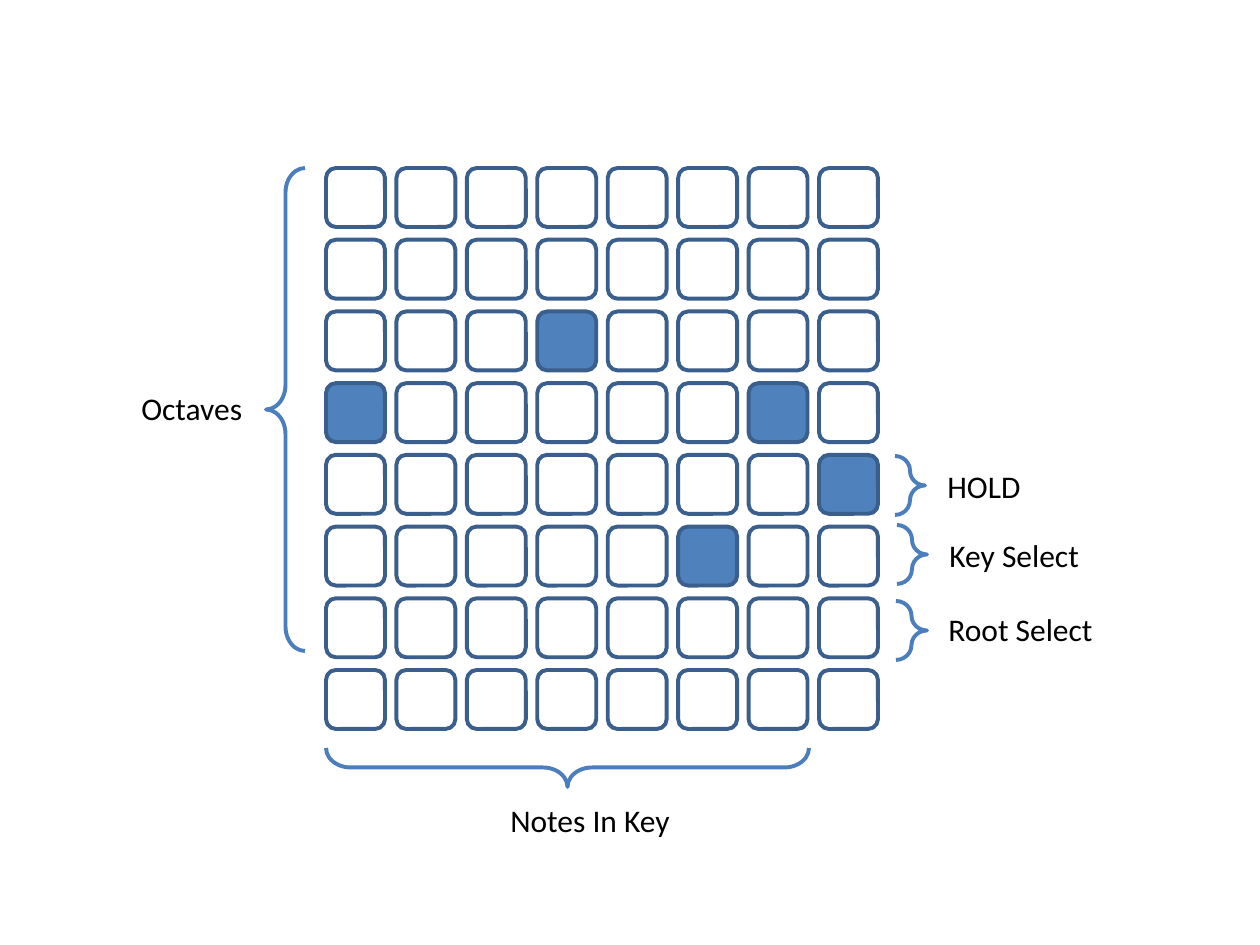
from dataclasses import dataclass
from itertools import product

from pptx import Presentation
from pptx.dml.color import RGBColor as Rgb
from pptx.enum.shapes import MSO_SHAPE as Shape
from pptx.enum.text import MSO_AUTO_SIZE as AutoSize
from pptx.util import Emu, Pt

PX = 914400 / 126


@dataclass(frozen=True)
class Theme:
    lit: Rgb = Rgb.from_string("4F81BD")
    unlit: Rgb = Rgb.from_string("FFFFFF")
    pad_edge: Rgb = Rgb.from_string("3A5F8C")
    brace: Rgb = Rgb.from_string("4B7EBC")
    ink: Rgb = Rgb.from_string("000000")
    font: str = "Calibri"
    label_size: Pt = Pt(18)
    stroke: Pt = Pt(2.25)


THEME = Theme()
PADS_PER_SIDE = 8
PAD_SIZE = 59
LIT_PADS = {(2, 3), (3, 0), (3, 6), (4, 7), (5, 5)}


def emu(*lengths):
    return [Emu(round(length * PX)) for length in lengths]


def apply_format(target, values):
    for name, value in values.items():
        setattr(target, name, value)


def outline(shape, color):
    shape.shadow.inherit = False
    shape.line.color.rgb = color
    shape.line.width = THEME.stroke


def add_pad_grid(slide, left, top, width, height):
    pads = slide.shapes.add_group_shape().shapes
    column_step = (width - PAD_SIZE) / (PADS_PER_SIDE - 1)
    row_step = (height - PAD_SIZE) / (PADS_PER_SIDE - 1)
    for row, column in product(range(PADS_PER_SIDE), repeat=2):
        pad = pads.add_shape(
            Shape.ROUNDED_RECTANGLE,
            *emu(left + column * column_step, top + row * row_step, PAD_SIZE, PAD_SIZE),
        )
        pad.fill.solid()
        pad.fill.fore_color.rgb = THEME.lit if (row, column) in LIT_PADS else THEME.unlit
        outline(pad, THEME.pad_edge)


def add_brace(slide, left, top, width, height, rotation=0):
    if rotation == 90:
        left, top = left + (width - height) / 2, top + (height - width) / 2
        width, height = height, width
    brace = slide.shapes.add_shape(Shape.RIGHT_BRACE, *emu(left, top, width, height))
    brace.adjustments[0] = 0.63
    brace.adjustments[1] = 0.5
    brace.rotation = rotation
    brace.fill.background()
    outline(brace, THEME.brace)


def add_label(slide, wording, left, top, width, height=50):
    frame = slide.shapes.add_textbox(*emu(left, top, width, height)).text_frame
    apply_format(frame, {"word_wrap": False, "auto_size": AutoSize.SHAPE_TO_FIT_TEXT})
    run = frame.paragraphs[0].add_run()
    run.text = wording
    apply_format(run.font, {"name": THEME.font, "size": THEME.label_size})
    run.font.color.rgb = THEME.ink


def add_octaves(slide, left, top, width, height):
    add_brace(slide, left + width - 39, top, 39, height, rotation=180)
    add_label(slide, "Octaves", left, top + 215, 127)


def add_notes_in_key(slide, left, top, width, height):
    add_brace(slide, left, top, width, 39, rotation=90)
    add_label(slide, "Notes In Key", left + 172, top + height - 50, 186)


def add_control(slide, wording, left, top, width, height, label_width, label_top):
    add_brace(slide, left, top, width, height)
    add_label(slide, wording, left + 40, top + label_top, label_width)


def main():
    deck = Presentation()
    deck.slide_width, deck.slide_height = emu(1260, 945)
    slide = deck.slides.add_slide(deck.slide_layouts[6])
    add_pad_grid(slide, 326, 168, 552, 561)
    add_octaves(slide, 129, 168, 176, 483)
    add_notes_in_key(slide, 326, 748, 483, 97)
    controls = [
        ("HOLD", 895, 456, 30, 100, 5),
        ("Key Select", 897, 525, 30, 156, 5),
        ("Root Select", 896, 601, 31, 171, 3),
    ]
    for wording, left, top, width, label_width, label_top in controls:
        add_control(slide, wording, left, top, width, PAD_SIZE, label_width, label_top)
    deck.save("out.pptx")


if __name__ == "__main__":
    main()
